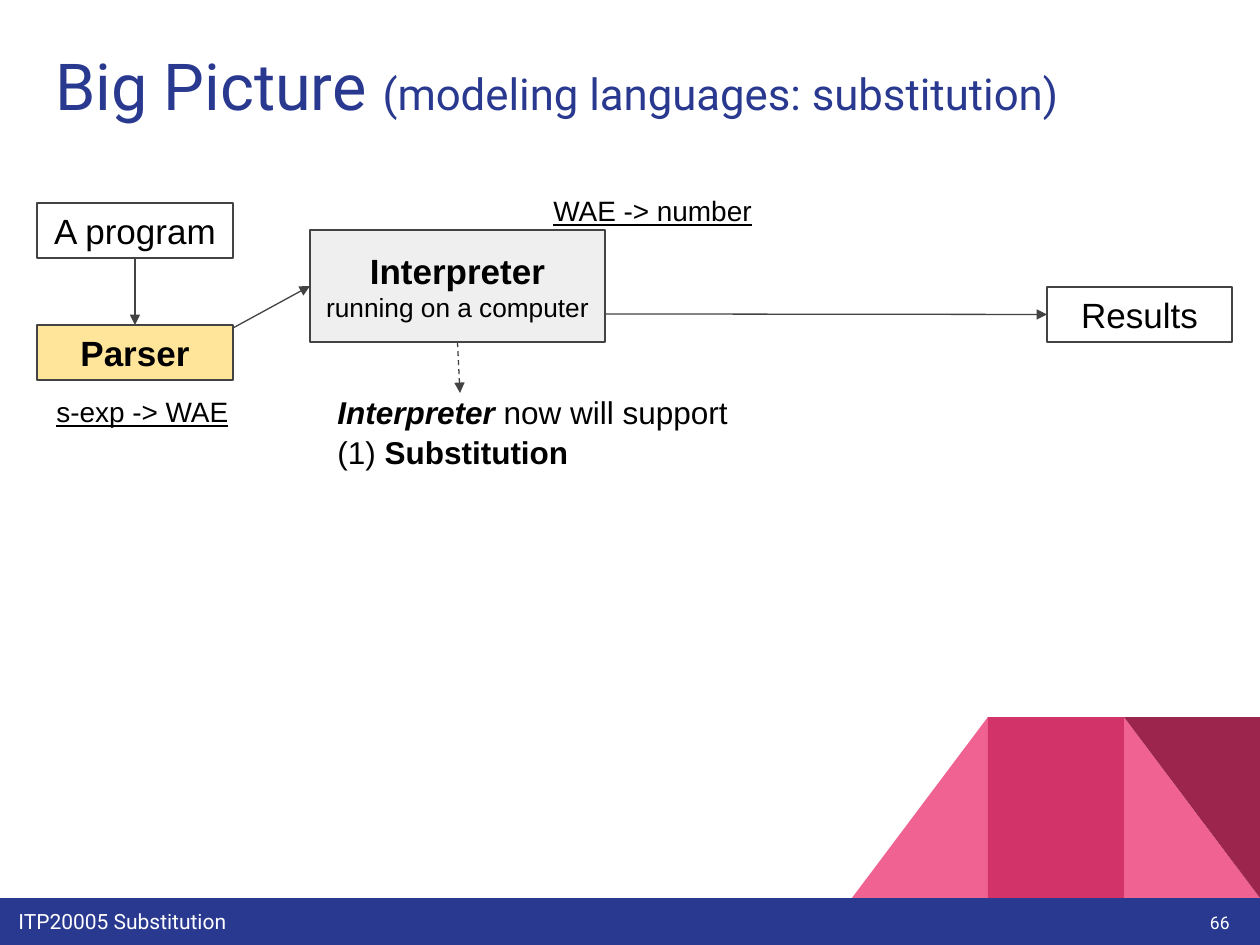
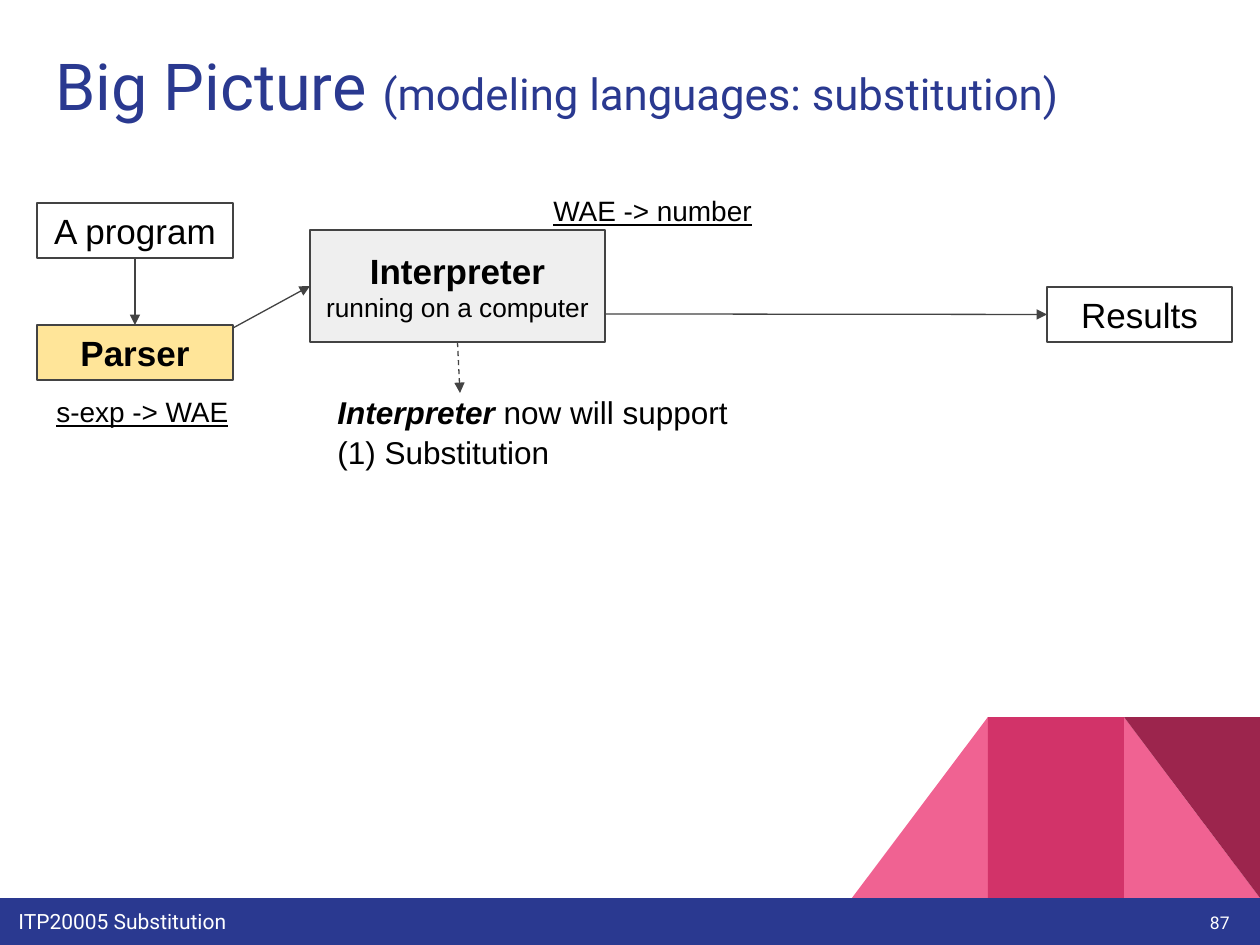
from lxml import etree
from pptx import Presentation
from pptx import util as u
from pptx.dml.color import RGBColor
from pptx.enum import dml, shapes, text
from pptx.oxml.ns import qn

PX = 914400 / 126
NAVY, WHITE, BLACK, GRAY = "2A3990", "FFFFFF", "000000", "434343"
PINK, ROSE, WINE = "F06292", "D23369", "9C254D"
SILVER, YELLOW = "EFEFEF", "FFE599"
RECTANGLE = shapes.MSO_SHAPE.RECTANGLE
TRIANGLE = shapes.MSO_SHAPE.RIGHT_TRIANGLE
CENTER, RIGHT = text.PP_ALIGN.CENTER, text.PP_ALIGN.RIGHT
MIDDLE, TOP = text.MSO_ANCHOR.MIDDLE, text.MSO_ANCHOR.TOP
TOP_SIDE, LEFT_SIDE, BOTTOM_SIDE = 0, 1, 2


def px(*lengths):
    return [u.Emu(round(length * PX)) for length in lengths]


def color(value):
    return RGBColor.from_string(value)


def add_span(para, words, size=20, font="Arial", fill=BLACK,
             bold=False, italic=False, underline=False):
    span = para.add_run()
    span.text = words
    span.font.size = u.Pt(size)
    span.font.name = font
    span.font.color.rgb = color(fill)
    span.font.bold = bold
    span.font.italic = italic
    span.font.underline = underline


def write(box, paragraphs, align=None, anchor=TOP, spacing=None, **style):
    """Fill a box; each paragraph is a list of (words, own format) pairs."""
    frame = box.text_frame
    frame.word_wrap = True
    frame.vertical_anchor = anchor
    frame.margin_left = frame.margin_right = u.Inches(0.1)
    frame.margin_top = frame.margin_bottom = u.Inches(0.1)
    for index, spans in enumerate(paragraphs):
        para = frame.add_paragraph() if index else frame.paragraphs[0]
        para.alignment = align
        para.line_spacing = spacing
        for words, own in spans:
            add_span(para, words, **{**style, **own})


def add_text(page, bounds, paragraphs, **style):
    box = page.shapes.add_textbox(*px(*bounds))
    write(box, paragraphs, **style)


def add_area(page, kind, bounds, fill=None, line=None):
    area = page.shapes.add_shape(kind, *px(*bounds))
    area.shadow.inherit = False
    if fill:
        area.fill.solid()
        area.fill.fore_color.rgb = color(fill)
    else:
        area.fill.background()
    if line:
        area.line.color.rgb = color(line)
        area.line.width = u.Pt(0.75)
    else:
        area.line.fill.background()
    return area


def add_stage(page, bounds, spans, fill=None):
    stage = add_area(page, RECTANGLE, bounds, fill, GRAY)
    write(stage, [spans], align=CENTER, anchor=MIDDLE)
    return stage


def add_arrow(page, start, end, source=None, target=None, dashed=False):
    """Draw an arrow; source and target are (shape, side) pairs to join."""
    arrow = page.shapes.add_connector(
        shapes.MSO_CONNECTOR.STRAIGHT, *px(*start, *end))
    if source:
        arrow.begin_connect(*source)
    if target:
        arrow.end_connect(*target)
    arrow.line.color.rgb = color(GRAY)
    arrow.line.width = u.Pt(0.75)
    if dashed:
        arrow.line.dash_style = dml.MSO_LINE.DASH
    properties = arrow.line._get_or_add_ln()
    etree.SubElement(properties, qn("a:tailEnd"), type="triangle")
    etree.SubElement(arrow._element.spPr, qn("a:effectLst"))


def add_corner(page):
    width, height, top = 136, 181, 717
    left, middle, right = [(1260 - width * n, top, width, height)
                           for n in (3, 2, 1)]
    add_area(page, TRIANGLE, right, PINK)
    mirrored = add_area(page, TRIANGLE, left, PINK)
    mirrored._element.spPr.find(qn("a:xfrm")).set("flipH", "1")
    add_area(page, RECTANGLE, middle, ROSE)
    add_area(page, TRIANGLE, right, WINE).rotation = 180


def add_frame(page, number):
    """Add the corner, footer band, title and slide number."""
    add_corner(page)
    add_area(page, RECTANGLE, (0, 898, 1260, 47), NAVY)
    add_text(page, (6, 896, 926, 45), [[("ITP20005 Substitution", {})]],
             size=12, font="Roboto", fill=WHITE)
    add_text(page, (43, 33, 1174, 112),
             [[("Big Picture ", {"size": 37}),
               ("(modeling languages: substitution)", {"size": 25})]],
             font="Roboto", fill=NAVY)
    add_text(page, (1166, 886, 76, 72), [[(str(number), {})]],
             align=RIGHT, anchor=MIDDLE, size=10, font="Roboto", fill=WHITE)


def add_pipeline(page):
    interpreter = add_stage(
        page, (310, 230, 295, 112),
        [("Interpreter ", {"bold": True}),
         ("running on a computer", {"size": 15})], SILVER)
    program = add_stage(page, (37, 203, 196, 55), [("A program", {})])
    results = add_stage(page, (1047, 287, 185, 55), [("Results", {})])
    parser = add_stage(page, (37, 325, 196, 55),
                       [("Parser", {"bold": True})], YELLOW)

    add_arrow(page, (135, 258), (135, 325),
              (program, BOTTOM_SIDE), (parser, TOP_SIDE))
    add_arrow(page, (233, 328), (310, 286), target=(interpreter, LEFT_SIDE))
    add_arrow(page, (605, 314), (1047, 315), target=(results, LEFT_SIDE))
    add_arrow(page, (457, 342), (460, 393),
              source=(interpreter, BOTTOM_SIDE), dashed=True)

    for signature, bounds in (("s-exp -> WAE", (44, 382, 228, 50)),
                              ("WAE -> number", (541, 181, 289, 42))):
        add_text(page, bounds, [[(signature, {})]], size=16, underline=True)


def add_support_note(page, emphasized):
    add_text(page, (325, 379, 561, 118),
             [[("Interpreter ", {"bold": True, "italic": True}),
               ("now will support", {})],
              [("(1) ", {}), ("Substitution", {"bold": emphasized})]],
             size=18, spacing=1.05)


def main():
    deck = Presentation()
    deck.slide_width, deck.slide_height = px(1260, 945)
    for number, emphasized in ((66, True), (87, False)):
        page = deck.slides.add_slide(deck.slide_layouts[6])
        add_frame(page, number)
        add_pipeline(page)
        add_support_note(page, emphasized)
    deck.save("out.pptx")


if __name__ == "__main__":
    main()
